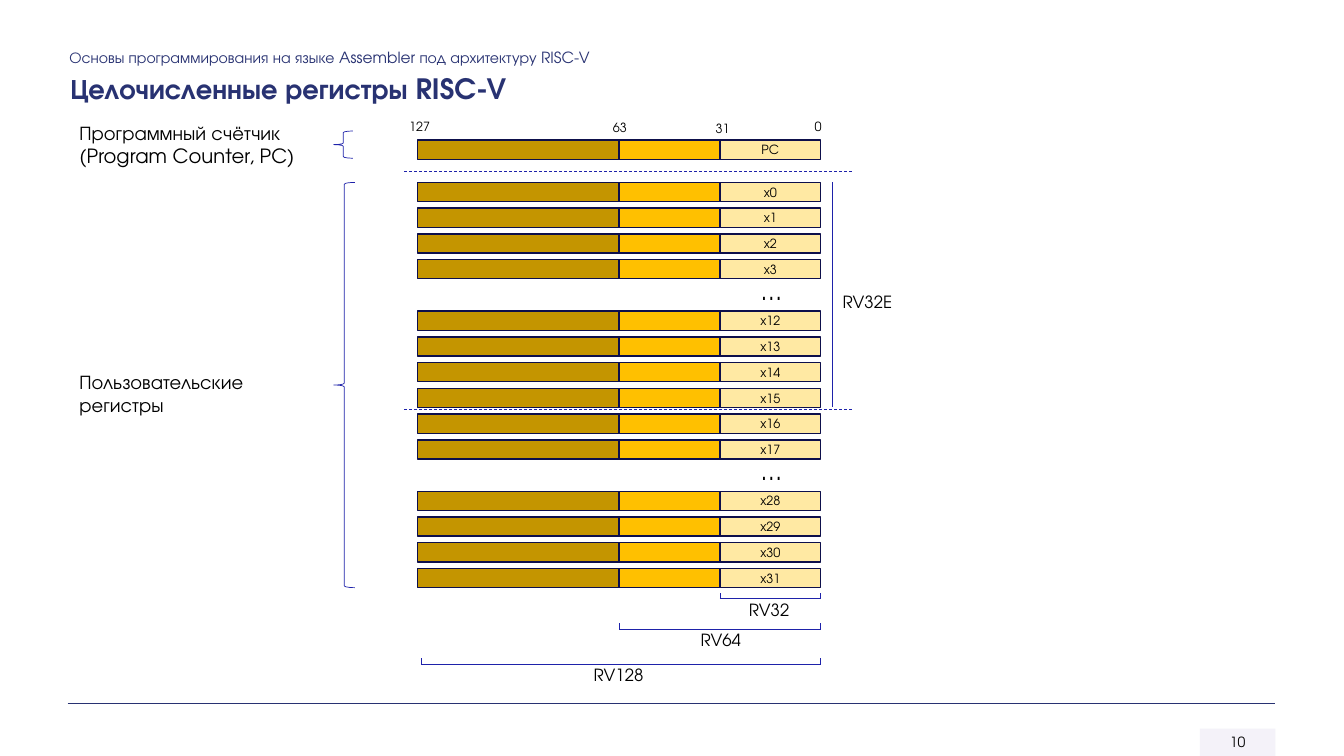
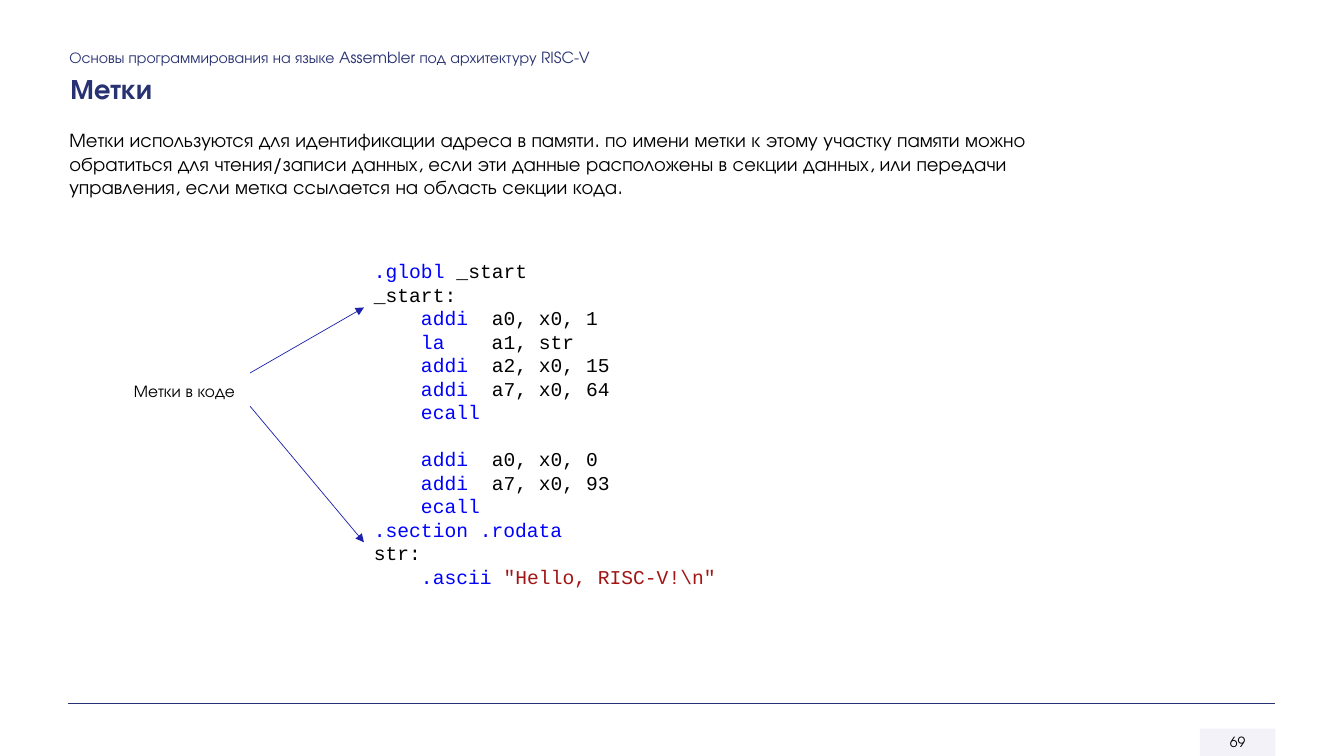
"""Build two lecture slides: RISC-V integer registers and code labels."""
from lxml import etree
from pptx import Presentation
from pptx.dml.color import RGBColor
from pptx.enum import dml, shapes, text
from pptx.oxml.ns import qn
from pptx.util import Inches, Pt

NAVY = RGBColor(0x28, 0x32, 0x72)
BLUE = RGBColor(0x1E, 0x22, 0xAA)
EDGE = RGBColor(0x0D, 0x0F, 0x4B)
PALE = RGBColor(0xF3, 0xF1, 0xF9)
CREAM = RGBColor(0xFF, 0xE9, 0xA3)
GOLD = RGBColor(0xFF, 0xC0, 0x00)
OCHRE = RGBColor(0xC4, 0x95, 0x00)
BLACK = RGBColor(0x00, 0x00, 0x00)
KEY = RGBColor(0x00, 0x00, 0xFF)
QUOTE = RGBColor(0xA3, 0x15, 0x15)
SANS, MONO = "TeX Gyre Adventor", "Courier New"

COURSE = "Основы программирования на языке Assembler под архитектуру RISC-V"
ROWS = ["x0", "x1", "x2", "x3", "…", "x12", "x13", "x14", "x15", "x16", "x17",
        "…", "x28", "x29", "x30", "x31"]
TOP, LAST, HIGH = 1.81, 5.64, 0.19
PITCH = (LAST - TOP) / (len(ROWS) - 1)
RIGHT = 8.14
PARTS = [(4.14, 2, OCHRE), (6.14, 1, GOLD), (7.14, 1, CREAM)]
BITS = [("127", 3.96, 1.13, 0.43), ("63", 5.98, 1.14, 0.35),
        ("31", 7, 1.15, 0.35), ("0", 7.98, 1.13, 0.28)]
SPANS = [("RV32", 7.14, 5.94, 7.33, 0.63), ("RV64", 6.14, 6.24, 6.85, 0.63),
         ("RV128", 4.18, 6.59, 5.79, 0.73)]
SIDES = [("Программный счётчик (Program Counter, PC)", 1.15, 2.66),
         ("Пользовательские регистры", 3.62, 2)]
BRACES = [(1.3, 0.19, 0.27), (TOP, 0.21, 4.02)]

ABOUT = ("Метки используются для идентификации адреса в памяти. по имени метки "
         "к этому участку памяти можно обратиться для чтения/записи данных, "
         "если эти данные расположены в секции данных, или передачи управления, "
         "если метка ссылается на область секции кода.")
CODE = [
    [(".globl ", KEY), ("_start", BLACK)],
    [("_start:", BLACK)],
    [("    addi", KEY), ("  a0, x0, 1", BLACK)],
    [("    la", KEY), ("    a1, str", BLACK)],
    [("    addi", KEY), ("  a2, x0, 15", BLACK)],
    [("    addi", KEY), ("  a7, x0, 64", BLACK)],
    [("    ecall", KEY)],
    [("    addi", KEY), ("  a0, x0, 0", BLACK)],
    [("    addi", KEY), ("  a7, x0, 93", BLACK)],
    [("    ecall", KEY)],
    [(".section .rodata", KEY)],
    [("str:", BLACK)],
    [("    .ascii ", KEY), ('"Hello, RISC-V!\\n"', QUOTE)],
]
BREAK = 7
LEAD = Pt(16.8)
ARROWS = [(2.48, 3.7, 3.61, 3.05), (2.48, 4.03, 3.61, 5.38)]


def add_run(para, words, size, color=BLACK, font=SANS, bold=False):
    run = para.add_run()
    run.text = words
    run.font.name = font
    run.font.size = Pt(size)
    run.font.bold = bold
    run.font.color.rgb = color


def add_text(slide, box, words, size, color=BLACK, bold=False, wrap=False):
    frame = slide.shapes.add_textbox(*map(Inches, box)).text_frame
    frame.word_wrap = wrap
    frame.auto_size = text.MSO_AUTO_SIZE.SHAPE_TO_FIT_TEXT
    if words:
        add_run(frame.paragraphs[0], words, size, color, bold=bold)
    return frame


def add_line(slide, ends, color=BLUE, width=0.5, dash=False, arrow=False):
    line = slide.shapes.add_connector(
        shapes.MSO_CONNECTOR.STRAIGHT, *map(Inches, ends))
    line.line.color.rgb = color
    line.line.width = Pt(width)
    if dash:
        line.line.dash_style = dml.MSO_LINE.DASH
    props = line._element.spPr
    if arrow:
        etree.SubElement(props.find(qn("a:ln")), qn("a:tailEnd"), type="triangle")
    etree.SubElement(props, qn("a:effectLst"))


def add_box(slide, box, fill=None, edge=None, width=1, words="", size=9,
            kind=shapes.MSO_SHAPE.RECTANGLE):
    shape = slide.shapes.add_shape(kind, *map(Inches, box))
    shape.shadow.inherit = False
    if fill is None:
        shape.fill.background()
    else:
        shape.fill.solid()
        shape.fill.fore_color.rgb = fill
    if edge is None:
        shape.line.fill.background()
    else:
        shape.line.color.rgb = edge
        shape.line.width = Pt(width)
    if words:
        para = shape.text_frame.paragraphs[0]
        para.alignment = text.PP_ALIGN.CENTER
        add_run(para, words, size)
    return shape


def add_slide(deck, title, width, page):
    slide = deck.slides.add_slide(deck.slide_layouts[6])
    tab = add_box(slide, (11.9, 7.23, 0.75, 0.27), PALE, words=page, size=10)
    tab.text_frame.vertical_anchor = text.MSO_ANCHOR.TOP
    tint = tab._element.spPr.find(qn("a:solidFill"))[0]
    etree.SubElement(tint, qn("a:alpha"), val="90000")
    add_line(slide, (0.67, 6.98, 12.65, 6.98), NAVY, 1)
    add_text(slide, (0.59, 0.43, 10.24, 0.29), COURSE, 11, NAVY, wrap=True)
    add_text(slide, (0.6, 0.66, width, 0.44), title, 20, NAVY, bold=True)
    return slide


def add_row(slide, name, top):
    for left, width, fill in PARTS:
        words = name if fill == CREAM else ""
        add_box(slide, (left, top, width, HIGH), fill, EDGE, words=words)


def draw_regs(deck):
    slide = add_slide(deck, "Целочисленные регистры RISC-V", 4.83, "10")
    for words, top, width in SIDES:
        add_text(slide, (0.69, top, width, 0.57), words, 14, wrap=True)
    for top, width, high in BRACES:
        add_box(slide, (3.31, top, width, high), edge=BLUE, width=0.5,
                kind=shapes.MSO_SHAPE.LEFT_BRACE)
    for words, left, top, width in BITS:
        add_text(slide, (left, top, width, 0.25), words, 9)
    add_row(slide, "PC", 1.39)
    for i, name in enumerate(ROWS):
        top = TOP + i * PITCH
        if name == "…":
            add_text(slide, (7.45, top - 0.15, 0.38, 0.4), name, 18)
        else:
            add_row(slide, name, top)
    for y in (1.7, 4.06):
        add_line(slide, (4.01, y, 8.47, y), dash=True)
    add_line(slide, (8.26, TOP, 8.26, 4.04))
    add_text(slide, (8.26, 2.85, 0.73, 0.3), "RV32E", 12)
    for name, start, y, left, width in SPANS:
        add_line(slide, (start, y, RIGHT, y))
        for x in (start, RIGHT):
            add_line(slide, (x, y, x, y - 0.06))
        add_text(slide, (left, y - 0.04, width, 0.3), name, 12)


def draw_marks(deck):
    slide = add_slide(deck, "Метки", 1.06, "69")
    add_text(slide, (0.59, 1.22, 10.05, 0.81), ABOUT, 14, wrap=True)
    frame = add_text(slide, (3.61, 2.52, 4.09, 3.4), "", 14, wrap=True)
    for i, parts in enumerate(CODE):
        para = frame.add_paragraph() if i else frame.paragraphs[0]
        para.line_spacing = LEAD
        if i == BREAK:
            para.space_before = LEAD
        for words, color in parts:
            add_run(para, words, 14, color, MONO)
    add_text(slide, (1.23, 3.73, 1.25, 0.3), "Метки в коде", 12)
    for ends in ARROWS:
        add_line(slide, ends, arrow=True)


def main():
    deck = Presentation()
    deck.slide_width, deck.slide_height = Inches(13.33), Inches(7.5)
    draw_regs(deck)
    draw_marks(deck)
    deck.save("out.pptx")


if __name__ == "__main__":
    main()
